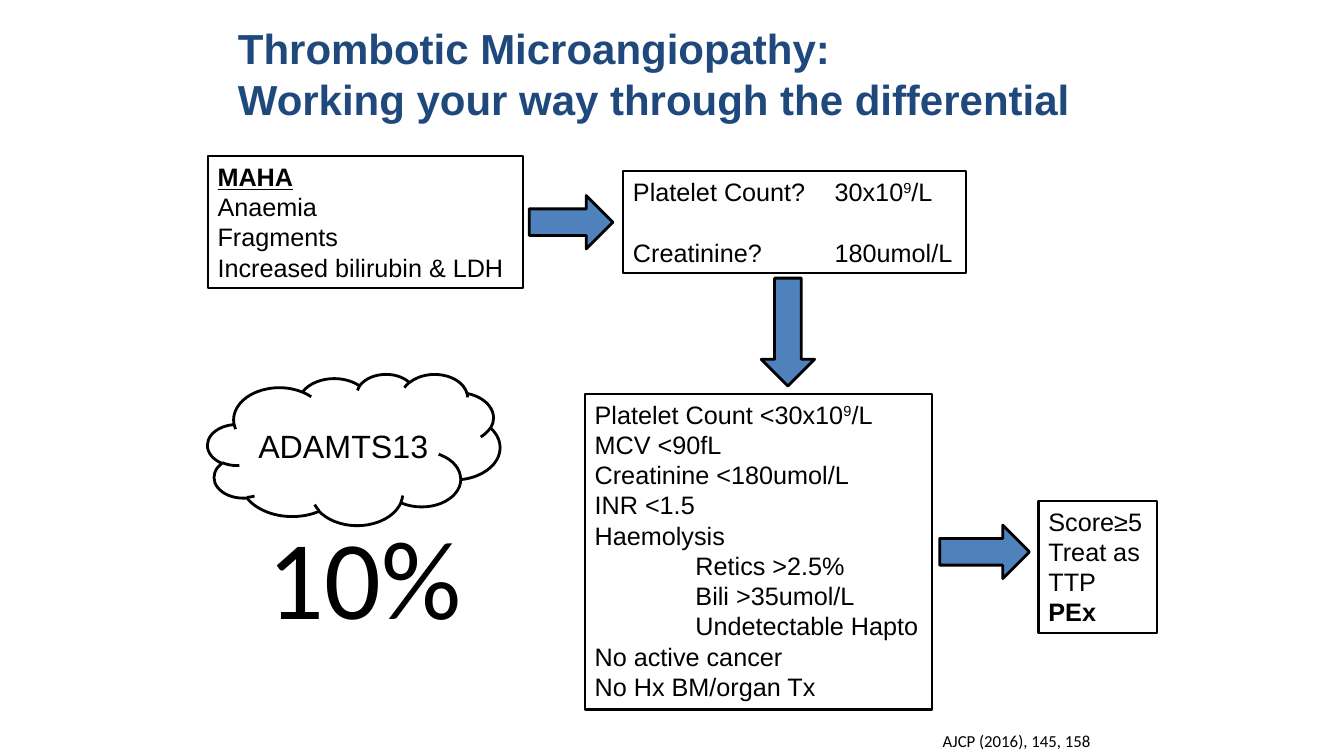
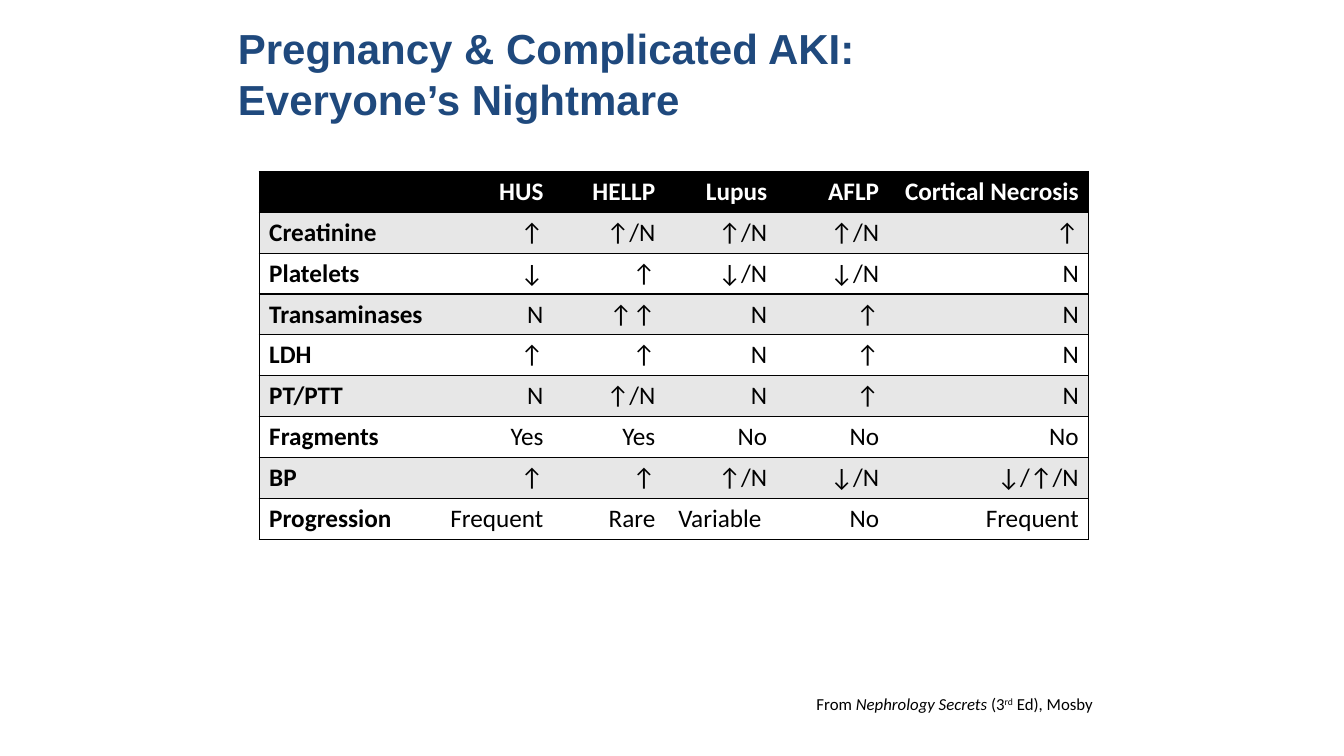
"""Two slides on thrombotic microangiopathy and complicated AKI in pregnancy."""
from lxml import etree
from pptx import Presentation
from pptx.dml.color import RGBColor
from pptx.enum import shapes, text
from pptx.oxml import ns
from pptx.util import Inches, Pt

BLACK, WHITE, GREY, BLUE, NAVY = "000000", "FFFFFF", "E7E7E7", "4F81BD", "1F497D"
LEFT, RIGHT, CENTER = text.PP_ALIGN.LEFT, text.PP_ALIGN.RIGHT, text.PP_ALIGN.CENTER
TOP, MIDDLE = text.MSO_ANCHOR.TOP, text.MSO_ANCHOR.MIDDLE
SHAPE = shapes.MSO_SHAPE


def rgb(color):
    return RGBColor.from_string(color)


def write(tf, paras, size=18, font="Arial", color=BLACK, bold=False, align=LEFT,
          anchor=TOP, wrap=False):
    """Fill a frame; a paragraph is a list of runs, each a string or (string, marks)."""
    tf.word_wrap = wrap
    tf.vertical_anchor = anchor
    for i, runs in enumerate(paras):
        p = tf.paragraphs[0] if i == 0 else tf.add_paragraph()
        p.alignment = align
        for run in runs:
            content, marks = (run, "") if isinstance(run, str) else run
            for j, line in enumerate(content.split("\n")):
                if j:
                    p.add_line_break()
                r = p.add_run()
                r.text = line
                r.font.size, r.font.name = Pt(size), font
                r.font.color.rgb = rgb(color)
                r.font.bold = bold or "b" in marks
                r.font.italic = "i" in marks
                r.font.underline = "u" in marks
                if "^" in marks:
                    r.font._element.set("baseline", "30000")


prs = Presentation()
prs.slide_width, prs.slide_height = Inches(13.33), Inches(7.5)

titles = ["Thrombotic Microangiopathy:\nWorking your way through the differential",
          "Pregnancy & Complicated AKI:\nEveryone’s Nightmare"]
footers = [(9.25, 7.2, 1.68, ["AJCP (2016), 145, 158"]),
           (8, 6.83, 3.06, ["From ", ("Nephrology Secrets", "i"), " (3", ("rd", "^"),
                            " Ed), Mosby"])]
for title, (x, y, w, runs) in zip(titles, footers):
    s = prs.slides.add_slide(prs.slide_layouts[5])
    sp = s.shapes.title
    sp.left, sp.top, sp.width, sp.height = map(Inches, (2.36, 0.22, 8.61, 1.01))
    tf = sp.text_frame
    tf.margin_left = tf.margin_top = tf.margin_right = tf.margin_bottom = 0
    write(tf, [[title]], size=30, color=NAVY, bold=True, anchor=MIDDLE, wrap=True)
    sp = s.shapes.add_textbox(Inches(x), Inches(y), Inches(w), Inches(0.3))
    write(sp.text_frame, [runs], size=12, font="Calibri")

flow, pregnancy = prs.slides

maha = [[("MAHA", "bu")], ["Anaemia"], ["Fragments"], ["Increased bilirubin & LDH"]]
counts = [["Platelet Count?\t30x10", ("9", "^"), "/L"], ["Creatinine?\t180umol/L"]]
criteria = [["Platelet Count <30x10", ("9", "^"), "/L"], ["MCV <90fL"],
            ["Creatinine <180umol/L"], ["INR <1.5"], ["Haemolysis"], ["Retics >2.5%"],
            ["Bili >35umol/L"], ["Undetectable Hapto"], ["No active cancer"],
            ["No Hx BM/organ Tx"]]
treat = [["Score≥5"], ["Treat as TTP"], [("PEx", "b")]]
box = SHAPE.RECTANGLE
cloud = dict(size=23, align=CENTER, anchor=MIDDLE, wrap=True)
frames = {}
for name, kind, x, y, w, h, paras, fmt in [
        ("maha", box, 2.06, 1.55, 3.13, 1.31, maha, {}),
        ("to counts", SHAPE.RIGHT_ARROW, 5.25, 1.94, 0.83, 0.53, [], {}),
        ("counts", box, 6.18, 1.7, 3.4, 1.01, counts, {}),
        ("to criteria", SHAPE.DOWN_ARROW, 7.55, 2.76, 0.53, 1.07, [], {}),
        ("criteria", box, 5.8, 3.91, 3.44, 3.13, criteria, {}),
        ("to treat", SHAPE.RIGHT_ARROW, 9.32, 5.21, 0.89, 0.53, [], {}),
        ("treat", box, 10.3, 4.97, 1.18, 1.31, treat, {"wrap": True}),
        ("cloud", SHAPE.CLOUD, 2.06, 3.71, 2.9, 1.5, [["ADAMTS13"]], cloud)]:
    sp = flow.shapes.add_shape(kind, Inches(x), Inches(y), Inches(w), Inches(h))
    sp.shadow.inherit = False
    sp.line.color.rgb = rgb(BLACK)
    sp.line.width = Pt(1.5 if kind == box else 2)
    if paras:
        sp.fill.background()
        write(sp.text_frame, paras, **fmt)
    else:
        sp.fill.solid()
        sp.fill.fore_color.rgb = rgb(BLUE)
    frames[name] = sp.text_frame

for p in frames["counts"].paragraphs:
    tabs = etree.SubElement(p._p.get_or_add_pPr(), ns.qn("a:tabLst"))
    etree.SubElement(tabs, ns.qn("a:tab"), pos=str(Inches(2)), algn="l")
frames["counts"].paragraphs[1].space_before = Pt(21.6)
for p in frames["criteria"].paragraphs[5:8]:
    p._p.get_or_add_pPr().set("marL", str(Inches(1)))

sp = flow.shapes.add_textbox(Inches(2.56), Inches(4.99), Inches(2.14), Inches(1.45))
write(sp.text_frame, [["10%"]], size=80, font="Calibri")

rows = [["", "HUS", "HELLP", "Lupus", "AFLP", "Cortical Necrosis"],
        ["Creatinine", "↑", "↑/N", "↑/N", "↑/N", "↑"],
        ["Platelets", "↓", "↑", "↓/N", "↓/N", "N"],
        ["Transaminases", "N", "↑↑", "N", "↑", "N"],
        ["LDH", "↑", "↑", "N", "↑", "N"],
        ["PT/PTT", "N", "↑/N", "N", "↑", "N"],
        ["Fragments", "Yes", "Yes", "No", "No", "No"],
        ["BP", "↑", "↑", "↑/N", "↓/N", "↓/↑/N"],
        ["Progression", "Frequent", "Rare", "Variable ", "No", "Frequent"]]
widths = [1.74, 1.18, 1.11, 1.11, 1.11, 1.98]
last = len(widths) - 1
table = pregnancy.shapes.add_table(len(rows), len(widths), Inches(2.57), Inches(1.7),
                                   Inches(sum(widths)), Inches(3.65)).table
for column, width in zip(table.columns, widths):
    column.width = Inches(width)
for i, row in enumerate(rows):
    fill = BLACK if i == 0 else GREY if i % 2 else WHITE
    for j, value in enumerate(row):
        cell = table.cell(i, j)
        tcPr = cell._tc.get_or_add_tcPr()
        for side, drawn in [("L", j == 0), ("R", j == last), ("T", True), ("B", True)]:
            ln = etree.SubElement(tcPr, ns.qn(f"a:ln{side}"), w=str(Pt(1)))
            if drawn:
                solid = etree.SubElement(ln, ns.qn("a:solidFill"))
                etree.SubElement(solid, ns.qn("a:srgbClr"), val=BLACK)
            else:
                etree.SubElement(ln, ns.qn("a:noFill"))
        cell.fill.solid()
        cell.fill.fore_color.rgb = rgb(fill)
        if value:
            write(cell.text_frame, [[value]], font="Calibri", bold=i == 0 or j == 0,
                  color=BLACK if i else WHITE, align=RIGHT if j else LEFT, wrap=True)

prs.save("out.pptx")
